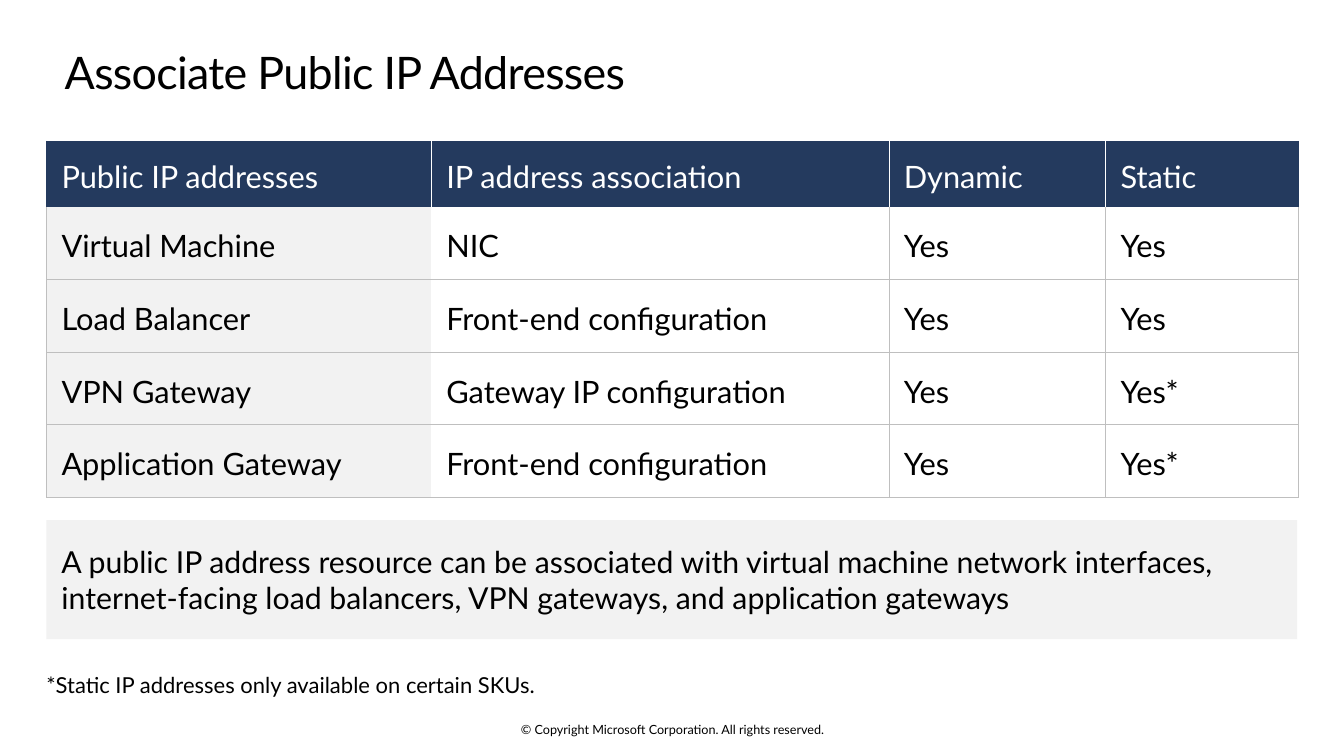
from dataclasses import dataclass

from lxml import etree
from pptx import Presentation
from pptx.dml.color import RGBColor
from pptx.enum.shapes import MSO_SHAPE
from pptx.enum.text import MSO_ANCHOR, PP_ALIGN
from pptx.oxml.ns import qn
from pptx.util import Cm, Pt

RECTANGLE = MSO_SHAPE.RECTANGLE
TOP, MIDDLE = MSO_ANCHOR.TOP, MSO_ANCHOR.MIDDLE
LEFT, CENTER = PP_ALIGN.LEFT, PP_ALIGN.CENTER


@dataclass(frozen=True)
class Theme:
    font: str = "Lato"
    text: str = "000000"
    inverse: str = "FFFFFF"
    header: str = "243A5E"
    panel: str = "F2F2F2"
    rule: str = "BFBFBF"
    title_size: float = 32
    table_size: float = 22
    summary_size: float = 21.6
    footnote_size: float = 15.7
    copyright_size: float = 9
    rule_width: float = 0.5


THEME = Theme()
MARGIN = 1.17
PADDING = (0.38, 0.25, 0.38, 0.25)
COLUMN_WIDTHS = (9.7, 11.53, 5.46, 4.85)
HEADER_HEIGHT, ROW_HEIGHT = 1.65, 1.83
ASSOCIATIONS = (
    ("Public IP addresses", "IP address association", "Dynamic", "Static"),
    ("Virtual Machine", "NIC", "Yes", "Yes"),
    ("Load Balancer", "Front-end configuration", "Yes", "Yes"),
    ("VPN Gateway", "Gateway IP configuration", "Yes", "Yes*"),
    ("Application Gateway", "Front-end configuration", "Yes", "Yes*"),
)


def write(frame, text, *, size, color=THEME.text, align=LEFT, line_spacing=None,
          tracking=None):
    paragraph = frame.paragraphs[0]
    paragraph.alignment = align
    paragraph.line_spacing = line_spacing
    run = paragraph.add_run()
    run.text = text
    run.font.name = THEME.font
    run.font.size = Pt(size)
    run.font.color.rgb = RGBColor.from_string(color)
    if tracking is not None:
        run.font._element.set("spc", str(round(tracking * 100)))


def set_margins(holder, insets):
    """Set left, top, right and bottom margins of a text frame or cell."""
    sides = ("left", "top", "right", "bottom")
    for side, inset in zip(sides, insets):
        setattr(holder, f"margin_{side}", Cm(inset))


def add_text(slide, text, box, *, insets=(0, 0, 0, 0), anchor=TOP, wrap=True,
             **text_format):
    frame = slide.shapes.add_textbox(*map(Cm, box)).text_frame
    frame.word_wrap = wrap
    frame.vertical_anchor = anchor
    set_margins(frame, insets)
    write(frame, text, **text_format)


def add_panel(slide, text, box):
    panel = slide.shapes.add_shape(RECTANGLE, *map(Cm, box))
    panel.shadow.inherit = False
    panel.fill.solid()
    panel.fill.fore_color.rgb = RGBColor.from_string(THEME.panel)
    panel.line.fill.background()
    frame = panel.text_frame
    frame.word_wrap = True
    frame.vertical_anchor = MIDDLE
    set_margins(frame, PADDING)
    write(frame, text, size=THEME.summary_size)


def set_borders(cell, colors):
    """Draw left, right, top and bottom borders; None hides a border."""
    properties = cell._tc.get_or_add_tcPr()
    for position, (side, color) in enumerate(zip("LRTB", colors)):
        border = etree.Element(qn(f"a:ln{side}"), w=str(Pt(THEME.rule_width)))
        if color is None:
            etree.SubElement(border, qn("a:noFill"))
        else:
            fill = etree.SubElement(border, qn("a:solidFill"))
            etree.SubElement(fill, qn("a:srgbClr"), val=color)
        properties.insert(position, border)


def border_colors(row, column):
    last = len(COLUMN_WIDTHS) - 1
    if row == 0:
        return (THEME.header if column == 0 else THEME.inverse,
                THEME.header if column == last else THEME.inverse,
                THEME.header, None)
    return (None if column == 1 else THEME.rule,
            None if column == 0 else THEME.rule,
            None if row == 1 else THEME.rule, THEME.rule)


def format_cell(cell, text, row, column):
    is_header = row == 0
    cell.vertical_anchor = MIDDLE
    set_margins(cell, PADDING)
    write(cell.text_frame, text, size=THEME.table_size, line_spacing=1.15,
          color=THEME.inverse if is_header else THEME.text)
    if is_header or column == 0:
        cell.fill.solid()
        cell.fill.fore_color.rgb = RGBColor.from_string(
            THEME.header if is_header else THEME.panel)
    else:
        cell.fill.background()
    set_borders(cell, border_colors(row, column))


def add_association_table(slide, left, top):
    row_count, column_count = len(ASSOCIATIONS), len(COLUMN_WIDTHS)
    height = HEADER_HEIGHT + ROW_HEIGHT * (row_count - 1)
    table = slide.shapes.add_table(
        row_count, column_count, Cm(left), Cm(top),
        Cm(sum(COLUMN_WIDTHS)), Cm(height)).table
    table.horz_banding = False
    for column, width in zip(table.columns, COLUMN_WIDTHS):
        column.width = Cm(width)
    for row, labels in enumerate(ASSOCIATIONS):
        table.rows[row].height = Cm(ROW_HEIGHT if row else HEADER_HEIGHT)
        for column, label in enumerate(labels):
            format_cell(table.cell(row, column), label, row, column)


def main():
    deck = Presentation()
    deck.slide_width, deck.slide_height = Cm(33.87), Cm(19.05)
    slide = deck.slides.add_slide(deck.slide_layouts[6])

    add_text(slide, "Associate Public IP Addresses", (MARGIN, 1.22, 31.5, 1.88),
             insets=(0.46, 0.05, 0, 0.25), size=THEME.title_size,
             line_spacing=0.9, tracking=-0.5)
    add_association_table(slide, MARGIN, 3.56)
    add_panel(slide,
              "A public IP address resource can be associated with virtual "
              "machine network interfaces, internet-facing load balancers, "
              "VPN gateways, and application gateways",
              (MARGIN, 13.11, 31.52, 3))
    add_text(slide, "*Static IP addresses only available on certain SKUs.",
             (MARGIN, 16.92, 12.37, 0.66), wrap=False, size=THEME.footnote_size)
    add_text(slide, "© Copyright Microsoft Corporation. All rights reserved.",
             (11.23, 18.19, 11.43, 0.38), anchor=MIDDLE, align=CENTER,
             size=THEME.copyright_size)
    deck.save("out.pptx")


if __name__ == "__main__":
    main()
